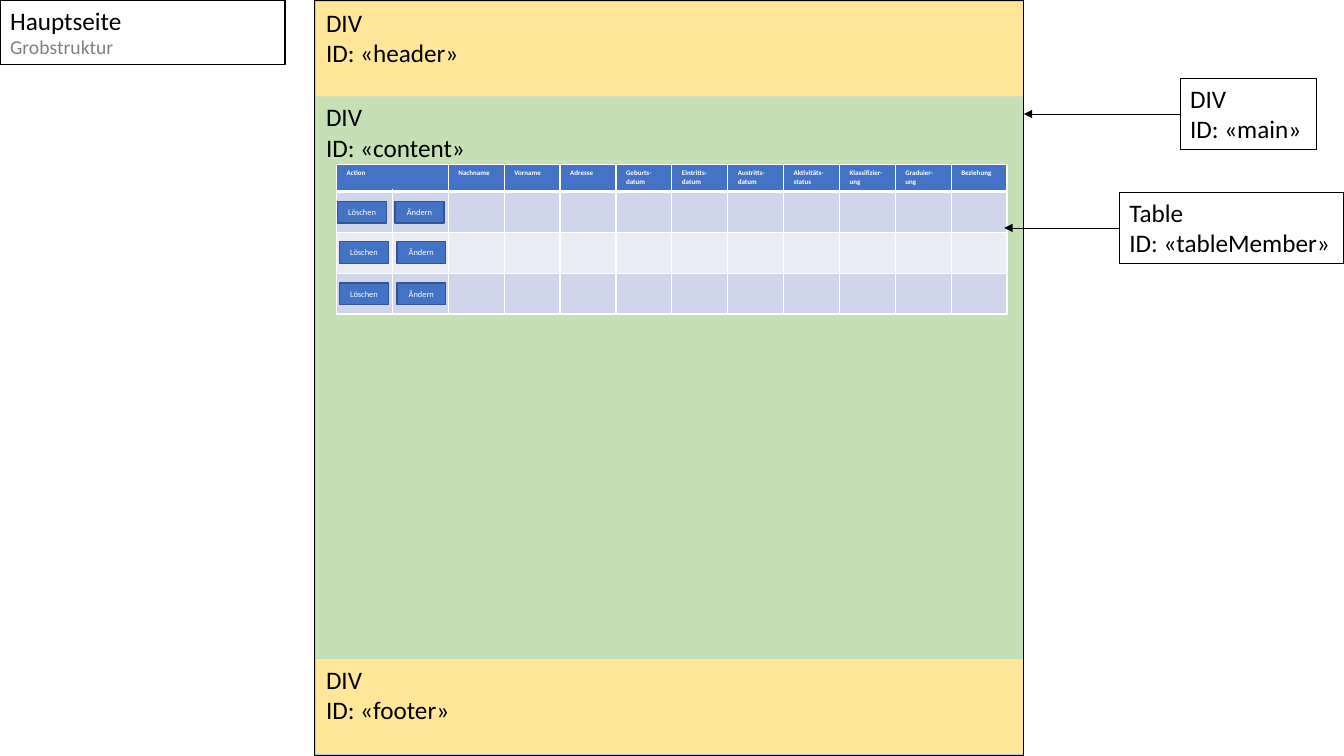
from lxml import etree
from pptx import Presentation
from pptx.dml.color import RGBColor
from pptx.enum.shapes import MSO_CONNECTOR, MSO_SHAPE
from pptx.enum.text import MSO_ANCHOR, MSO_AUTO_SIZE, PP_ALIGN
from pptx.oxml.ns import qn
from pptx.util import Pt

RECTANGLE = MSO_SHAPE.RECTANGLE
STRAIGHT = MSO_CONNECTOR.STRAIGHT
TOP, MIDDLE = MSO_ANCHOR.TOP, MSO_ANCHOR.MIDDLE
LEFT, CENTER = PP_ALIGN.LEFT, PP_ALIGN.CENTER
NO_AUTOFIT = MSO_AUTO_SIZE.NONE

FONT = "Calibri"
BLACK, WHITE, GRAY = "000000", "FFFFFF", "808080"
BLUE, DARK_BLUE, PALE_BLUE = "4472C4", "325491", "B4C7E7"
YELLOW, GREEN = "FFE699", "C5E0B4"
BANDS = ["CFD5EA", "E9EBF5"]

TITLE = "Hauptseite\nGrobstruktur"
SECTIONS = [
    ("DIV\nID: «header»", 1.4, 67.7, YELLOW),
    ("DIV\nID: «footer»", 470.9, 67.7, YELLOW),
    ("DIV\nID: «content»", 69.1, 401.4, GREEN),
]
HEADINGS = [
    "Action", "", "Nachname", "Vorname", "Adresse", "Geburts-datum",
    "Eintritts-datum", "Austritts-datum", "Aktivitäts-status",
    "Klassifizier-ung", "Graduier-ung", "Beziehung",
]
BUTTONS = ["Löschen", "Ändern"]
BUTTON_ROWS = [(241.2, 143.9), (242.5, 172.7), (242.5, 202.2)]
CALLOUTS = [
    ("DIV\nID: «main»", 843, 56, 97.2, 731.3),
    ("Table\nID: «tableMember»", 799.6, 137.4, 160.1, 717.3),
]
CALLOUT_HEIGHT = 50.9
COLUMN_WIDTH, HEADING_HEIGHT, ROW_HEIGHT = 39.92, 19.5, 29.2


def color(value):
    return RGBColor.from_string(value)


def points(*values):
    return [Pt(value) for value in values]


def write(frame, text, size, ink, align=LEFT, bold=False):
    frame.text = text
    for para in frame.paragraphs:
        para.alignment = align
        for span in para.runs:
            span.font.name = FONT
            span.font.size = Pt(size)
            span.font.bold = bold
            span.font.color.rgb = color(ink)


def outline(shape, ink, width):
    shape.line.color.rgb = color(ink)
    shape.line.width = Pt(width)


def add_box(page, area, fill=None, line=None, width=1):
    box = page.shapes.add_shape(RECTANGLE, *points(*area))
    box.shadow.inherit = False
    if fill:
        box.fill.solid()
        box.fill.fore_color.rgb = color(fill)
    else:
        box.fill.background()
    if line:
        outline(box, line, width)
    else:
        box.line.fill.background()
    box.text_frame.vertical_anchor = TOP
    return box


def add_arrow(page, start, end, height):
    arrow = page.shapes.add_connector(STRAIGHT, *points(start, height, end, height))
    outline(arrow, BLACK, 0.5)
    etree.SubElement(arrow.line._get_or_add_ln(), qn("a:tailEnd"), type="triangle")
    etree.SubElement(arrow._element.spPr, qn("a:effectLst"))


def set_borders(cell, widths):
    properties = cell._tc.get_or_add_tcPr()
    for index, (side, width) in enumerate(zip("LRTB", widths)):
        border = etree.Element(qn("a:ln" + side), w=str(Pt(width)))
        fill = etree.SubElement(border, qn("a:solidFill"))
        etree.SubElement(fill, qn("a:srgbClr"), val=WHITE)
        properties.insert(index, border)


def add_title(page):
    title = page.shapes.title
    title.left, title.top, title.width, title.height = points(0, 0, 203.6, 46.2)
    outline(title, BLACK, 0.75)
    frame = title.text_frame
    write(frame, TITLE, 18, BLACK)
    frame.auto_size = NO_AUTOFIT
    frame.vertical_anchor = TOP
    subtitle = frame.paragraphs[1].runs[0].font
    subtitle.size = Pt(14)
    subtitle.color.rgb = color(GRAY)


def add_member_table(page):
    columns, rows = len(HEADINGS), len(BUTTON_ROWS) + 1
    area = (240.4, 117.2, columns * COLUMN_WIDTH,
            HEADING_HEIGHT + (rows - 1) * ROW_HEIGHT)
    table = page.shapes.add_table(rows, columns, *points(*area)).table
    for column in table.columns:
        column.width = Pt(COLUMN_WIDTH)
    for number, row in enumerate(table.rows):
        row.height = Pt(ROW_HEIGHT if number else HEADING_HEIGHT)
        for cell, heading in zip(row.cells, HEADINGS):
            cell.fill.solid()
            cell.fill.fore_color.rgb = color(BANDS[(number - 1) % 2] if number else BLUE)
            set_borders(cell, (1, 1, 3 if number == 1 else 1, 1 if number else 3))
            if number == 0:
                write(cell.text_frame, heading, 5, WHITE, bold=True)
    table.cell(0, 0).merge(table.cell(0, 1))


def add_buttons(page):
    for left, top in BUTTON_ROWS:
        for index, label in enumerate(BUTTONS):
            area = (left + index * 41, top, 34.9, 15.4)
            frame = add_box(page, area, BLUE, DARK_BLUE).text_frame
            frame.margin_left = frame.margin_right = 0
            frame.vertical_anchor = MIDDLE
            write(frame, label, 6, WHITE, CENTER)


def main():
    deck = Presentation()
    deck.slide_width, deck.slide_height = points(960, 540)
    page = deck.slides.add_slide(deck.slide_layouts[5])
    add_title(page)
    add_box(page, (224.6, 0, 506.7, 540), PALE_BLUE, BLACK)
    for text, top, height, fill in SECTIONS:
        box = add_box(page, (225.8, top, 504.8, height), fill)
        write(box.text_frame, text, 18, BLACK)
    add_member_table(page)
    add_buttons(page)
    for text, left, top, width, target in CALLOUTS:
        box = add_box(page, (left, top, width, CALLOUT_HEIGHT), line=BLACK, width=0.75)
        write(box.text_frame, text, 18, BLACK)
        add_arrow(page, left, target, top + CALLOUT_HEIGHT / 2)
    deck.save("out.pptx")


if __name__ == "__main__":
    main()
